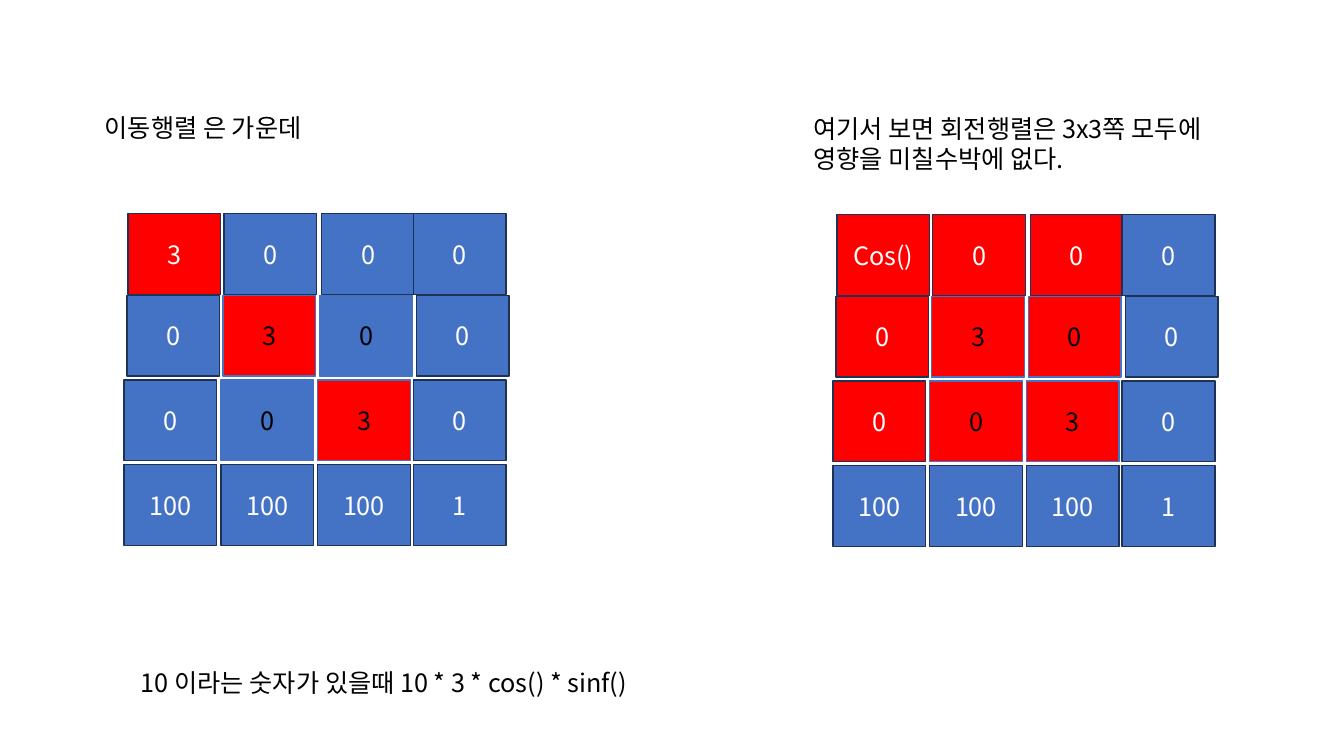
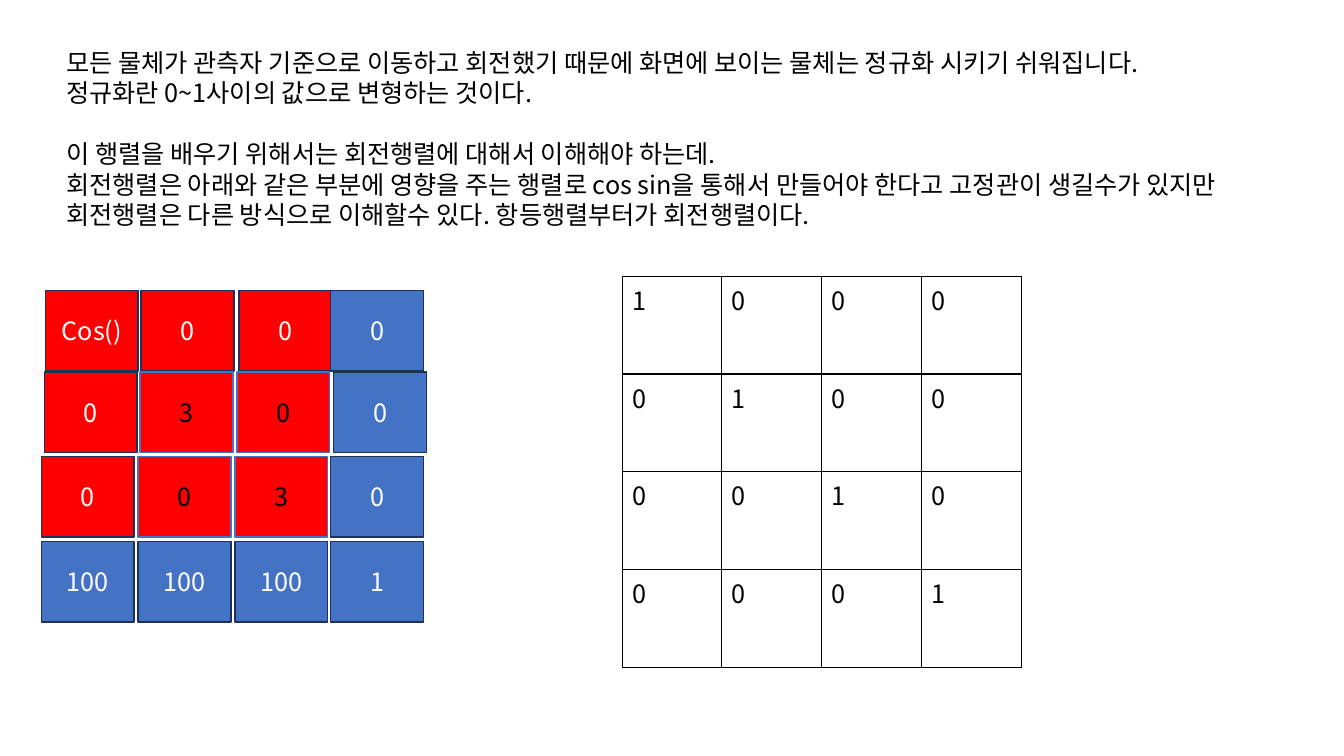
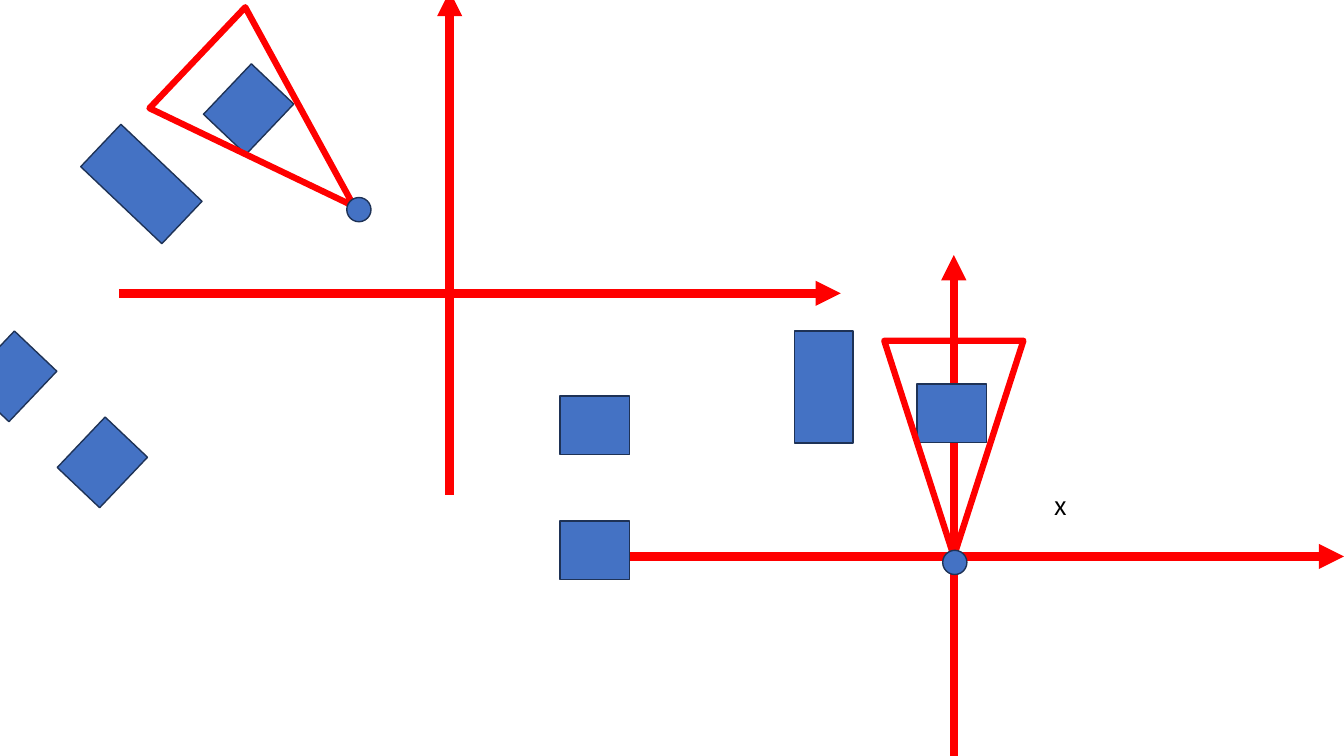
import math

import pptx
import pptx.chart.data
import pptx.dml.color
import pptx.enum.shapes
import pptx.enum.text
import pptx.oxml
import pptx.oxml.ns
import pptx.util
from lxml import etree

FONT = "Noto Sans CJK KR"
RED, BLUE, NAVY = "FF0000", "4472C4", "1E3256"
BLACK, WHITE = "000000", "FFFFFF"
W, H = 13.33, 7.5
SHAPE = pptx.enum.shapes.MSO_SHAPE
ALIGN = pptx.enum.text.PP_ALIGN
inch = pptx.util.Inches

CELL_W, CELL_H = 0.92, 0.8
CELL_ROWS = [0, 0.81, 1.65, 2.49]
CELL_COLS = [
    [0.04, 0.99, 1.96, 2.87],
    [0.03, 0.98, 1.94, 2.9],
    [0, 0.96, 1.92, 2.87],
    [0, 0.96, 1.92, 2.87],
]
MOVE_ROWS = ["3 0 0 0", "0 3 0 0", "0 0 3 0", "100 100 100 1"]
TURN_ROWS = ["Cos() 0 0 0"] + MOVE_ROWS[1:]
DIAGONAL = {(i, i) for i in range(3)}
BLOCK_3X3 = {(i, j) for i in range(3) for j in range(3)}

# Centre offsets from the camera, then width and height
BOXES = [(-1.3, -1.74, 0.58, 1.11), (-0.03, -1.48, 0.69, 0.58),
         (-3.57, -0.12, 0.69, 0.58), (-3.57, -1.36, 0.69, 0.58)]
VIEW = (-0.01, -1.13, 1.38, 2.14)
CAMERA = (0, 0, 0.24, 0.24)


def rgb(color):
    return pptx.dml.color.RGBColor.from_string(color)


def style_text(tf, color=BLACK, align=None):
    for p in tf.paragraphs:
        p.alignment = align
        for r in p.runs:
            r.font.size = pptx.util.Pt(18)
            r.font.name = FONT
            r.font.color.rgb = rgb(color)
            ea = etree.SubElement(r.font._element, pptx.oxml.ns.qn("a:ea"))
            ea.set("typeface", FONT)


def add_text(s, x, y, w, h, lines, wrap=False):
    tf = s.shapes.add_textbox(inch(x), inch(y), inch(w), inch(h)).text_frame
    tf.word_wrap = wrap
    tf.text = "\n".join(lines)
    style_text(tf)
    return tf


def add_figure(s, kind, x, y, w, h, fill=BLUE, line=NAVY, width=1, turn=0):
    sp = s.shapes.add_shape(kind, inch(x), inch(y), inch(w), inch(h))
    sp.shadow.inherit = False
    sp.rotation = turn % 360
    if fill:
        sp.fill.solid()
        sp.fill.fore_color.rgb = rgb(fill)
    else:
        sp.fill.background()
    sp.line.color.rgb = rgb(line)
    sp.line.width = pptx.util.Pt(width)
    return sp


def add_matrix(s, x, y, rows, red_cells):
    """Draw a 4 x 4 matrix of boxes with the given cells in red."""
    for i, row in enumerate(rows):
        for j, label in enumerate(row.split()):
            inner = i in (1, 2) and j in (1, 2)
            sp = add_figure(s, SHAPE.RECTANGLE, x + CELL_COLS[i][j],
                            y + CELL_ROWS[i], CELL_W, CELL_H,
                            RED if (i, j) in red_cells else BLUE,
                            BLUE if inner else NAVY)
            sp.text_frame.text = label
            style_text(sp.text_frame, BLACK if inner else WHITE, ALIGN.CENTER)


def border_cell(cell):
    tcPr = cell._tc.get_or_add_tcPr()
    for i, side in enumerate(("lnL", "lnR", "lnT", "lnB")):
        ln = pptx.oxml.parse_xml(
            f'<a:{side} {pptx.oxml.ns.nsdecls("a")} w="12700"><a:solidFill>'
            f'<a:srgbClr val="{BLACK}"/></a:solidFill></a:{side}>')
        tcPr.insert(i, ln)


def add_identity_table(s, x, y, col_w, row_h, n=4):
    tbl = s.shapes.add_table(n, n, inch(x), inch(y),
                             inch(n * col_w), inch(n * row_h)).table
    tbl.first_row = tbl.horz_banding = False
    for i in range(n):
        tbl.columns[i].width = inch(col_w)
        tbl.rows[i].height = inch(row_h)
        for j in range(n):
            cell = tbl.cell(i, j)
            cell.text = str(int(i == j))
            cell.fill.background()
            style_text(cell.text_frame)
            border_cell(cell)


def add_axis(s, x1, y1, x2, y2):
    axis = s.shapes.add_connector(pptx.enum.shapes.MSO_CONNECTOR.STRAIGHT,
                                  inch(x1), inch(y1), inch(x2), inch(y2))
    axis.line.color.rgb = rgb(RED)
    axis.line.width = pptx.util.Pt(6)
    ln = axis.line._get_or_add_ln()
    etree.SubElement(ln, pptx.oxml.ns.qn("a:tailEnd")).set("type", "triangle")
    etree.SubElement(axis._element.spPr, pptx.oxml.ns.qn("a:effectLst"))


def add_scene(s, x, y, turn=0):
    """Draw the boxes, view and camera, turned about the camera at x, y."""
    cos, sin = math.cos(math.radians(turn)), math.sin(math.radians(turn))

    def place(kind, item, extra=0, **look):
        dx, dy, w, h = item
        add_figure(s, kind, x + dx * cos - dy * sin - w / 2,
                   y + dx * sin + dy * cos - h / 2, w, h,
                   turn=turn + extra, **look)

    for box in BOXES:
        place(SHAPE.RECTANGLE, box)
    place(SHAPE.ISOSCELES_TRIANGLE, VIEW, 180, fill=None, line=RED, width=4.5)
    place(SHAPE.OVAL, CAMERA)


def matrices_slide(s):
    add_matrix(s, 8.26, 2.13, TURN_ROWS, BLOCK_3X3)
    add_text(s, 7.97, 1.07, 4.49, 0.71,
             ["여기서 보면 회전행렬은 3x3쪽 모두에", "영향을 미칠수박에 없다."])
    add_matrix(s, 1.23, 2.12, MOVE_ROWS, DIAGONAL)
    add_text(s, 0.94, 1.07, 2.49, 0.4, ["이동행렬 은 가운데"])
    add_text(s, 1.3, 6.57, 5.46, 0.4,
             ["10 이라는 숫자가 있을때 10 * 3 * cos() * sinf()"])


def identity_slide(s):
    tf = add_text(s, 0.56, 0.42, 12.41, 1.92, [
        "모든 물체가 관측자 기준으로 이동하고 회전했기 때문에 화면에 보이는 "
        "물체는 정규화 시키기 쉬워집니다.",
        "정규화란 0~1사이의 값으로 변형하는 것이다.",
        "이 행렬을 배우기 위해서는 회전행렬에 대해서 이해해야 하는데.",
        "회전행렬은 아래와 같은 부분에 영향을 주는 행렬로 cos sin을 통해서 "
        "만들어야 한다고 고정관이 생길수가 있지만 회전행렬은 다른 방식으로 "
        "이해할수 있다. 항등행렬부터가 회전행렬이다.",
    ], wrap=True)
    tf.paragraphs[2].space_before = pptx.util.Pt(22)
    add_matrix(s, 0.41, 2.88, TURN_ROWS, BLOCK_3X3)
    add_identity_table(s, 6.17, 2.74, 0.99, 0.97)


def camera_slide(s):
    add_axis(s, 4.46, 4.91, 4.46, -0.09)
    add_axis(s, 1.18, 2.91, 8.34, 2.91)
    add_scene(s, 3.56, 2.08, turn=-46.5)
    add_text(s, 10.36, 4.82, 0.32, 0.4, ["x"])
    add_axis(s, 9.46, 7.53, 9.46, 2.53)
    add_axis(s, 6.18, 5.52, W, 5.52)
    add_scene(s, 9.47, 5.58)


def main():
    prs = pptx.Presentation()
    prs.slide_width, prs.slide_height = inch(W), inch(H)
    for build in (matrices_slide, identity_slide, camera_slide):
        build(prs.slides.add_slide(prs.slide_layouts[6]))
    prs.save("out.pptx")


if __name__ == "__main__":
    main()
